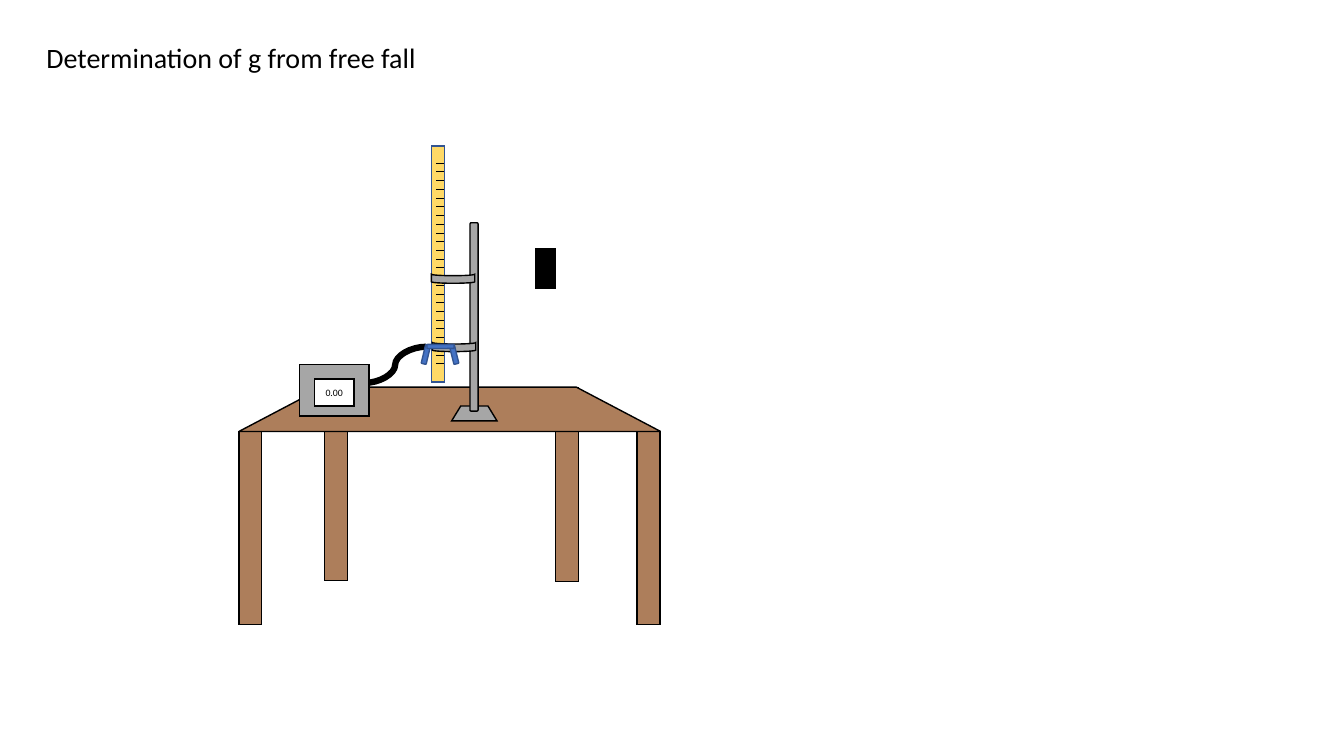
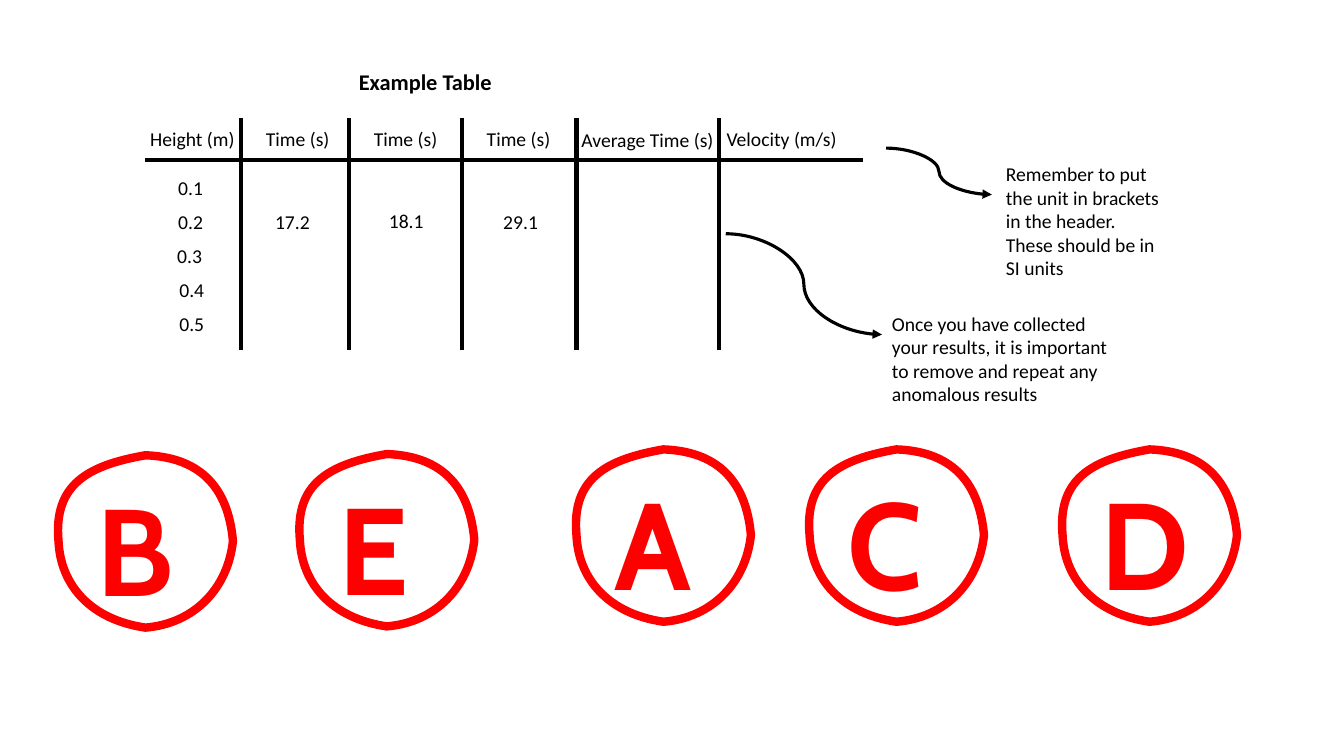
from dataclasses import dataclass

from lxml.etree import SubElement
from pptx import Presentation
from pptx.dml.color import RGBColor
from pptx.enum.shapes import MSO_CONNECTOR as Link, MSO_SHAPE as Geo
from pptx.enum.text import MSO_ANCHOR as Anchor, MSO_AUTO_SIZE as AutoSize, PP_ALIGN as Align
from pptx.oxml.ns import qn
from pptx.util import Pt

# Shared look
BLACK, WHITE, RED = "000000", "FFFFFF", "FF0000"
WOOD, STEEL, YELLOW, BLUE, NAVY = "AD7E5B", "A6A6A6", "FFD966", "4472C4", "325491"
BODY_FONT, LETTER_FONT = "Calibri", "Cabin"
BODY_SIZE = 14
NO_MARGINS = {f"margin_{side}": Pt(0) for side in ("left", "right", "top", "bottom")}


@dataclass(frozen=True)
class Part:
    """One piece of apparatus, in points."""
    left: float
    top: float
    width: float
    height: float
    fill: str
    geo: Geo = Geo.RECTANGLE
    line: str = BLACK
    turn: float = 0
    label: str = ""


@dataclass(frozen=True)
class Stroke:
    start: tuple[float, float]
    end: tuple[float, float]
    weight: float
    kind: Link = Link.STRAIGHT
    arrow: bool = False


@dataclass(frozen=True)
class Note:
    left: float
    top: float
    width: float
    height: float
    text: str
    size: float = BODY_SIZE
    font: str = BODY_FONT
    color: str = BLACK
    bold: bool = False
    wrap: bool = False


@dataclass(frozen=True)
class Badge:
    letter: str
    left: float
    top: float


def rgb(value: str) -> RGBColor:
    return RGBColor.from_string(value)


def apply(target, values: dict) -> None:
    for name, value in values.items():
        setattr(target, name, value)


def write(paragraph, text: str, size: float, font: str = BODY_FONT,
          color: str = BLACK, bold: bool = False) -> None:
    run = paragraph.add_run()
    run.text = text
    apply(run.font, {"size": Pt(size), "name": font, "bold": bold})
    run.font.color.rgb = rgb(color)


def add_title(slide, note: Note) -> None:
    title = slide.shapes.title
    apply(title, {"left": Pt(note.left), "top": Pt(note.top),
                  "width": Pt(note.width), "height": Pt(note.height)})
    apply(title.text_frame, {"word_wrap": False, "auto_size": AutoSize.SHAPE_TO_FIT_TEXT,
                             "vertical_anchor": Anchor.TOP})
    paragraph = title.text_frame.paragraphs[0]
    paragraph.alignment = Align.LEFT
    write(paragraph, note.text, note.size, bold=note.bold)


def add_part(slide, part: Part) -> None:
    shape = slide.shapes.add_shape(part.geo, Pt(part.left), Pt(part.top),
                                   Pt(part.width), Pt(part.height))
    shape.shadow.inherit = False
    shape.rotation = part.turn
    shape.fill.solid()
    shape.fill.fore_color.rgb = rgb(part.fill)
    shape.line.color.rgb = rgb(part.line)
    shape.line.width = Pt(1)
    # Square corners
    SubElement(shape._element.spPr.find(qn("a:ln")), qn("a:miter"), lim="800000")
    if part.label:
        frame = shape.text_frame
        apply(frame, NO_MARGINS | {"vertical_anchor": Anchor.MIDDLE})
        frame.paragraphs[0].alignment = Align.CENTER
        write(frame.paragraphs[0], part.label, 7)


def add_stroke(slide, stroke: Stroke) -> None:
    connector = slide.shapes.add_connector(stroke.kind, *map(Pt, stroke.start + stroke.end))
    connector.line.color.rgb = rgb(BLACK)
    connector.line.width = Pt(stroke.weight)
    properties = connector._element.spPr
    if stroke.arrow:
        SubElement(properties.find(qn("a:ln")), qn("a:tailEnd"), type="triangle")
    SubElement(properties, qn("a:effectLst"))


def add_note(slide, note: Note) -> None:
    box = slide.shapes.add_textbox(Pt(note.left), Pt(note.top), Pt(note.width), Pt(note.height))
    apply(box.text_frame, {"word_wrap": note.wrap, "auto_size": AutoSize.SHAPE_TO_FIT_TEXT})
    write(box.text_frame.paragraphs[0], note.text, note.size, note.font, note.color, note.bold)


# Slide 1: apparatus, from back to front
LEG = (16.4, 138.1)
BENCH_AND_STAND = [
    *(Part(left, top, *LEG, WOOD) for left, top in
      [(231.8, 276.5), (396.7, 277.2), (455, 308.2), (170.6, 308.2)]),
    Part(170.6, 276.5, 301.3, 31.7, WOOD, Geo.FLOWCHART_MANUAL_OPERATION, turn=180),
    Part(322.6, 290, 32.4, 10.6, STEEL, Geo.FLOWCHART_MANUAL_OPERATION, turn=180),
    Part(335.7, 159.1, 5.8, 134.6, STEEL, Geo.ROUNDED_RECTANGLE),
    Part(308.2, 104.4, 9.4, 168.5, YELLOW, line=NAVY),
]
CLAMPS = [Part(left, top, 6.5, 31, STEEL, Geo.FLOWCHART_STORED_DATA, turn=270)
          for left, top in [(320.4, 183.6), (321.1, 232.4)]]
CABLE = Stroke((304.6, 247.7), (259.9, 273.6), 4.5, Link.CURVE)
TIMER_GATE_CARD = [
    Part(213.8, 260.4, 49.7, 36.7, STEEL),
    Part(224.6, 270.7, 28.2, 19.3, WHITE, label="0.00"),
    *(Part(left, top, width, height, BLUE, Geo.ROUNDED_RECTANGLE, NAVY, turn)
      for left, top, width, height, turn in
      [(302.4, 246.4, 3.6, 13.7, 13.5), (322.6, 246.4, 3.6, 13.7, 346.1),
       (313.2, 237.8, 2.9, 19.4, 90)]),
    Part(383, 177.4, 13.7, 28.8, BLACK),
]
TICKS, FIRST_TICK, TICK_GAP = 24, 116.5, 6.23


def build_apparatus(slide) -> None:
    add_title(slide, Note(25.9, 25.2, 301.7, 31.7, "Determination of g from free fall", 20))
    for part in BENCH_AND_STAND:
        add_part(slide, part)
    for index in range(TICKS):
        y = FIRST_TICK + index * TICK_GAP
        add_stroke(slide, Stroke((311.8, y), (317.5, y), 0.5))
    for clamp in CLAMPS:
        add_part(slide, clamp)
    add_stroke(slide, CABLE)
    for part in TIMER_GATE_CARD:
        add_part(slide, part)


# Slide 2: ruled results, advice and lettered badges
RULE_TOP, RULE_BOTTOM, RULE_WEIGHT = 84.2, 249.8, 3
HEADER_RULE = Stroke((103.7, 114.5), (616.3, 114.5), RULE_WEIGHT)
COLUMN_RULES = [Stroke((x, RULE_TOP), (x, RULE_BOTTOM), RULE_WEIGHT)
                for x in (172.1, 249.1, 329.8, 411.8, 513.4)]
LABEL_HEIGHT = 24.2
HEADINGS = [Note(left, top, width, LABEL_HEIGHT, text) for left, top, width, text in [
    (100.1, 87.1, 75.6, "Height (m)"),
    (182.9, 87.1, 64.8, "Time (s)"),
    (259.9, 87.1, 64.8, "Time (s)"),
    (340.6, 87.1, 64.8, "Time (s)"),
    (408.2, 87.8, 110.9, "Average Time (s)"),
    (511.9, 87.1, 104.4, "Velocity (m/s)"),
]]
FIRST_HEIGHT, HEIGHT_GAP = 122.2, 24.25
HEIGHTS = [Note(left, FIRST_HEIGHT + row * HEIGHT_GAP, 34.6, LABEL_HEIGHT, f"0.{row + 1}")
           for row, left in enumerate((120.2, 120.2, 119.5, 121, 121))]
TIMES = [Note(left, top, 45, LABEL_HEIGHT, text) for left, top, text in
         [(189.4, 146.4, "17.2"), (270.7, 145.9, "18.1"), (352.4, 146.4, "29.1")]]
ARROWS = [Stroke((632.9, 105.8), (708.5, 139), 2.25, Link.CURVE, True),
          Stroke((518.4, 167), (630, 239), 2.25, Link.CURVE, True)]
ADVICE = [
    Note(711.4, 112.3, 128.9, 92.2, "Remember to put the unit in brackets in the header. "
         "These should be in SI units", wrap=True),
    Note(630, 219.1, 175.7, 74.9, "Once you have collected your results, it is important "
         "to remove and repeat any anomalous results", wrap=True),
]
BADGES = [Badge("B", 41.8, 325.2), Badge("A", 411.8, 321), Badge("C", 578.3, 321),
          Badge("D", 759, 321), Badge("E", 214.2, 324.3)]
# Badge outline: start, then two handles and an end for each curve
RING_START = (0, 61.2)
RING_CURVES = [
    ((-3.6, 20.9), (20.9, 7.2), (62.1, 0)),
    ((99.4, 1.4), (121, 20.9), (124.6, 61.2)),
    ((121, 95), (97.2, 120.2), (62.1, 123.1)),
    ((23, 117.4), (1.4, 92.9), RING_START),
]


def bend_outline(ring) -> None:
    """Turn each straight side of the ring into its curve."""
    sides = list(ring._element.iter(qn("a:lnTo")))
    for side, curve in zip(sides, RING_CURVES):
        side.tag = qn("a:cubicBezTo")
        for point in list(side):
            side.remove(point)
        for x, y in curve:
            SubElement(side, qn("a:pt"), x=str(Pt(x)), y=str(Pt(y)))


def add_badge(slide, badge: Badge) -> None:
    add_note(slide, Note(badge.left + 20.2, badge.top + 9.4, 83.5, 113.8,
                         badge.letter, 88, LETTER_FONT, RED, True, True))
    corners = [(Pt(badge.left + x), Pt(badge.top + y))
               for x, y in (RING_START, *(curve[-1] for curve in RING_CURVES))]
    builder = slide.shapes.build_freeform(*corners[0])
    builder.add_line_segments(corners[1:], close=True)
    ring = builder.convert_to_shape()
    bend_outline(ring)
    ring.shadow.inherit = False
    ring.fill.background()
    ring.line.color.rgb = rgb(RED)
    ring.line.width = Pt(6)


def build_example(slide) -> None:
    add_title(slide, Note(249.1, 45.4, 110.9, 26.6, "Example Table", 16, bold=True))
    for stroke in (HEADER_RULE, *COLUMN_RULES, *ARROWS):
        add_stroke(slide, stroke)
    for note in (*HEADINGS, *HEIGHTS, *TIMES, *ADVICE):
        add_note(slide, note)
    for badge in BADGES:
        add_badge(slide, badge)


def main() -> None:
    deck = Presentation()
    apply(deck, {"slide_width": Pt(960), "slide_height": Pt(540)})
    title_only = deck.slide_layouts[5]
    for build in (build_apparatus, build_example):
        build(deck.slides.add_slide(title_only))
    deck.save("out.pptx")


if __name__ == "__main__":
    main()
